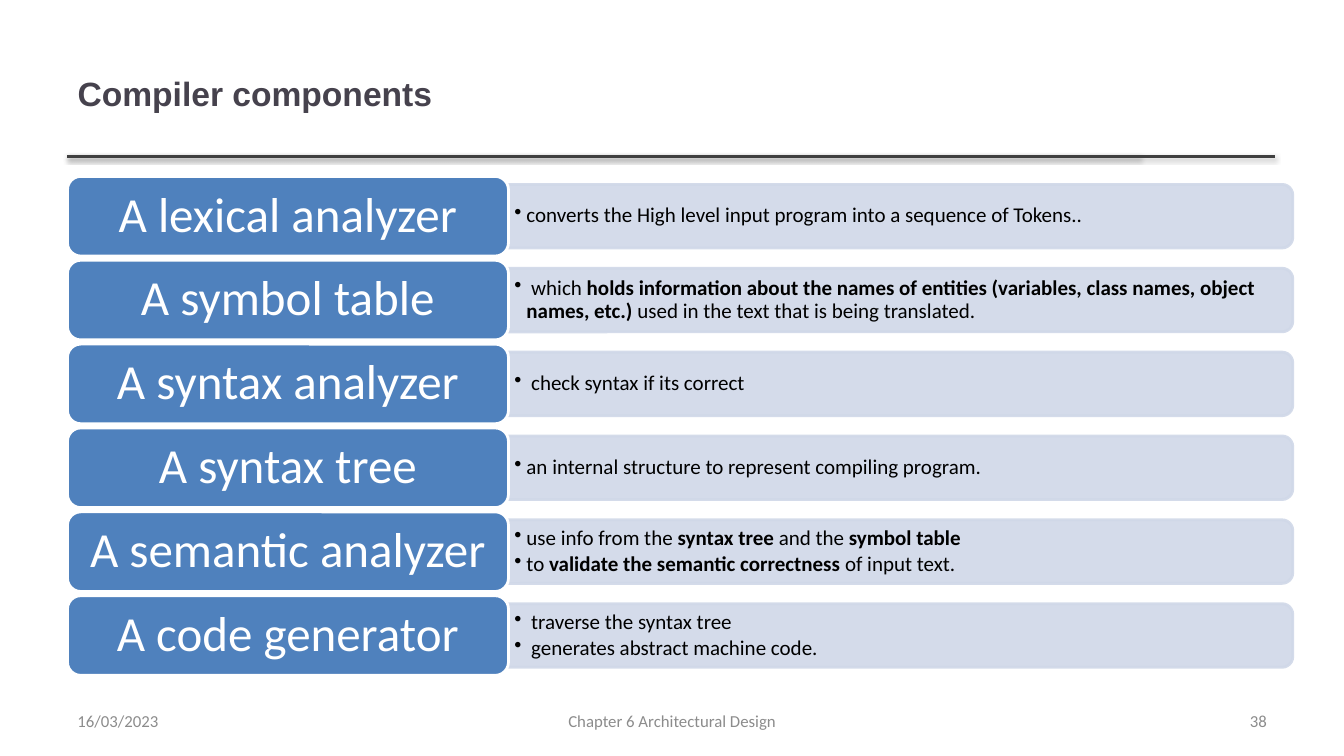
"""Build the slide on compiler components."""
from dataclasses import dataclass
from typing import Any, NamedTuple

from lxml import etree
from pptx import Presentation
from pptx import util as u
from pptx.dml import color
from pptx.enum import shapes, text
from pptx.oxml import ns


@dataclass(frozen=True)
class Theme:
    title_font: str = "Arial"
    body_font: str = "Calibri"
    title_color: str = "46424D"
    rule_color: str = "404040"
    tab_color: str = "4F81BD"
    panel_color: str = "D0D8E8"
    light: str = "FFFFFF"
    dark: str = "000000"
    footer_color: str = "8C8C8C"
    title_size: float = 24
    tab_size: float = 35
    detail_size: float = 15
    footer_size: float = 12


class Box(NamedTuple):
    left: float
    top: float
    width: float
    height: float

    def lengths(self) -> list[int]:
        return [u.Pt(value) for value in self]


class Span(NamedTuple):
    words: str
    bold: bool = False


class Component(NamedTuple):
    name: str
    details: tuple[tuple[Span, ...], ...]


class Footer(NamedTuple):
    words: str
    box: Box
    alignment: text.PP_ALIGN


THEME = Theme()
LEFT = 48.2
TITLE = Box(LEFT, 21.6, 765.4, 90)
RULE_TOP = 111.6
RULE_ENDS = (815, 910.8)
FIRST_TAB = Box(LEFT, 126, 315, 56.9)
ROW_PITCH = 59.9
PANEL_LENGTH = 560.2
PANEL_HEIGHT = 45.4
BULLET_INDENT = 8.64

COMPONENTS = (
    Component("A lexical analyzer", (
        (Span("converts the High level input program into a sequence of Tokens.."),),)),
    Component("A symbol table", (
        (Span(" which "),
         Span("holds information about the names of entities "
              "(variables, class names, object names, etc.)", True),
         Span(" used in the text that is being translated.")),)),
    Component("A syntax analyzer", ((Span(" check syntax if its correct"),),)),
    Component("A syntax tree", (
        (Span("an internal structure to represent compiling program."),),)),
    Component("A semantic analyzer", (
        (Span("use info from the "), Span("syntax tree ", True),
         Span("and the "), Span("symbol table", True)),
        (Span("to "), Span("validate the semantic correctness", True),
         Span(" of input text.")))),
    Component("A code generator", (
        (Span(" traverse the syntax tree"),),
        (Span(" generates abstract machine code."),))),
)

FOOTERS = (
    Footer("16/03/2023", Box(LEFT, 500.5, 224, 28.8), text.PP_ALIGN.LEFT),
    Footer("Chapter 6 Architectural Design", Box(328.2, 500.5, 304, 28.8), text.PP_ALIGN.CENTER),
    Footer("38", Box(688, 500.5, 224, 28.8), text.PP_ALIGN.RIGHT),
)


def rgb(value: str) -> color.RGBColor:
    return color.RGBColor.from_string(value)


def format_run(run: Any, font: str, size: float, value: str, bold: bool = False) -> None:
    run.font.name = font
    run.font.size = u.Pt(size)
    run.font.bold = bold
    run.font.color.rgb = rgb(value)


def set_frame(frame: Any, horizontal: float = 7.2, vertical: float = 3.6) -> None:
    frame.word_wrap = True
    frame.auto_size = text.MSO_AUTO_SIZE.NONE
    frame.vertical_anchor = text.MSO_ANCHOR.MIDDLE
    frame.margin_left = frame.margin_right = u.Pt(horizontal)
    frame.margin_top = frame.margin_bottom = u.Pt(vertical)


def draw_title(slide: Any) -> None:
    title = slide.shapes.title
    title.left, title.top, title.width, title.height = TITLE.lengths()
    title.text_frame.text = "Compiler components"
    set_frame(title.text_frame)
    paragraph = title.text_frame.paragraphs[0]
    paragraph.alignment = text.PP_ALIGN.LEFT
    format_run(paragraph.runs[0], THEME.title_font, THEME.title_size, THEME.title_color, True)


def draw_rule(slide: Any, end: float) -> None:
    rule = slide.shapes.add_connector(
        shapes.MSO_CONNECTOR.STRAIGHT, u.Pt(LEFT), u.Pt(RULE_TOP), u.Pt(end), u.Pt(RULE_TOP))
    rule.line.color.rgb = rgb(THEME.rule_color)
    rule.line.width = u.Pt(2)
    effects = etree.SubElement(rule.element.spPr, ns.qn("a:effectLst"))
    shadow = etree.SubElement(
        effects, ns.qn("a:outerShdw"), blurRad=str(u.Pt(3.1)), dist=str(u.Pt(1.6)),
        dir="5400000", rotWithShape="0")
    shade = etree.SubElement(shadow, ns.qn("a:srgbClr"), val=THEME.dark)
    etree.SubElement(shade, ns.qn("a:alpha"), val="38000")


def draw_block(slide: Any, kind: shapes.MSO_SHAPE, box: Box, fill: str, line: str) -> Any:
    shape = slide.shapes.add_shape(kind, *box.lengths())
    shape.shadow.inherit = False
    shape.fill.solid()
    shape.fill.fore_color.rgb = rgb(fill)
    shape.line.color.rgb = rgb(line)
    shape.line.width = u.Pt(2)
    return shape


def draw_panel(slide: Any, left: float, middle: float) -> None:
    box = Box(left + (PANEL_LENGTH - PANEL_HEIGHT) / 2, middle - PANEL_LENGTH / 2,
              PANEL_HEIGHT, PANEL_LENGTH)
    panel = draw_block(slide, shapes.MSO_SHAPE.ROUND_2_SAME_RECTANGLE, box,
                       THEME.panel_color, THEME.panel_color)
    panel.rotation = 90
    for tint in panel.element.spPr.iter(ns.qn("a:srgbClr")):
        etree.SubElement(tint, ns.qn("a:alpha"), val="90000")


def draw_details(slide: Any, details: tuple[tuple[Span, ...], ...], box: Box) -> None:
    frame = slide.shapes.add_textbox(*box.lengths()).text_frame
    set_frame(frame, 4.2, 2.1)
    for index, spans in enumerate(details):
        paragraph = frame.add_paragraph() if index else frame.paragraphs[0]
        properties = paragraph._p.get_or_add_pPr()
        properties.set("marL", str(u.Pt(BULLET_INDENT)))
        properties.set("indent", str(-u.Pt(BULLET_INDENT)))
        etree.SubElement(properties, ns.qn("a:buChar"), char="•")
        paragraph.line_spacing = 0.9
        paragraph.space_after = u.Pt(2.25)
        for span in spans:
            run = paragraph.add_run()
            run.text = span.words
            format_run(run, THEME.body_font, THEME.detail_size, THEME.dark, span.bold)


def draw_component(slide: Any, component: Component, row: int) -> None:
    tab_box = FIRST_TAB._replace(top=FIRST_TAB.top + row * ROW_PITCH)
    panel_left = tab_box.left + tab_box.width
    middle = tab_box.top + tab_box.height / 2
    draw_panel(slide, panel_left, middle)
    draw_details(slide, component.details, Box(panel_left, middle - 20.5, 558, 41))
    tab = draw_block(slide, shapes.MSO_SHAPE.ROUNDED_RECTANGLE, tab_box,
                     THEME.tab_color, THEME.light)
    tab.text_frame.text = component.name
    set_frame(tab.text_frame, 10.8, 4.8)
    paragraph = tab.text_frame.paragraphs[0]
    paragraph.alignment = text.PP_ALIGN.CENTER
    paragraph.line_spacing = 0.9
    format_run(paragraph.runs[0], THEME.body_font, THEME.tab_size, THEME.light)


def draw_footer(slide: Any, footer: Footer) -> None:
    frame = slide.shapes.add_textbox(*footer.box.lengths()).text_frame
    frame.text = footer.words
    set_frame(frame)
    frame.paragraphs[0].alignment = footer.alignment
    format_run(frame.paragraphs[0].runs[0], THEME.body_font, THEME.footer_size, THEME.footer_color)


def main() -> None:
    presentation = Presentation()
    presentation.slide_width, presentation.slide_height = u.Pt(960), u.Pt(540)
    slide = presentation.slides.add_slide(presentation.slide_layouts.get_by_name("Title Only"))
    draw_title(slide)
    for end in RULE_ENDS:
        draw_rule(slide, end)
    for row, component in enumerate(COMPONENTS):
        draw_component(slide, component, row)
    for footer in FOOTERS:
        draw_footer(slide, footer)
    presentation.save("out.pptx")


if __name__ == "__main__":
    main()
